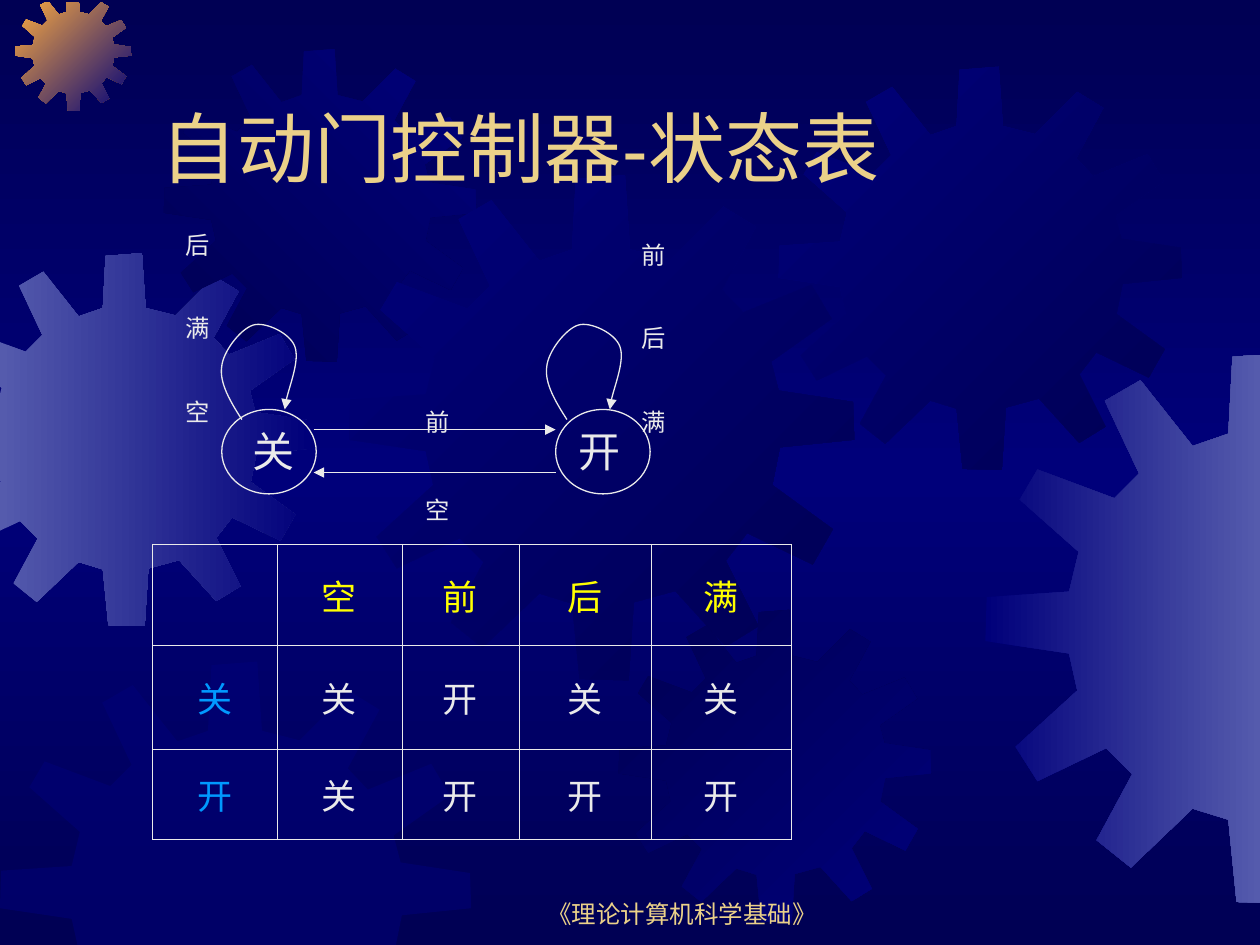
"""Build the slide with the state diagram and state table of an automatic door controller."""
from copy import deepcopy
from dataclasses import dataclass

from lxml.etree import SubElement
from pptx import Presentation
from pptx.dml.color import RGBColor
from pptx.enum.shapes import MSO_CONNECTOR, MSO_SHAPE
from pptx.enum.text import MSO_ANCHOR, MSO_AUTO_SIZE, PP_ALIGN
from pptx.oxml.ns import qn
from pptx.util import Inches, Pt

COLORS = {
    "navy": "000054", "blue": "00007A", "lilac": "555BAD", "orange": "FCAB40",
    "gold": "EBD189", "white": "EAEAEA", "yellow": "FFFF00", "sky": "0099FF",
}
SLIDE_LIMITS = ((0, 0, 1), (0, 10, -1), (1, 0.02, 1), (1, 7.5, -1))
GEAR_SIZE = 401
GEAR_OUTLINE = [
    (255, 67), (223, 59), (219, 0), (180, 3), (177, 59), (151, 68), (113, 20), (87, 35),
    (112, 88), (94, 106), (38, 85), (25, 107), (68, 145), (61, 174), (1, 178), (0, 210),
    (61, 219), (67, 246), (22, 287), (38, 312), (88, 288), (107, 307), (81, 355), (106, 375),
    (151, 332), (177, 340), (183, 400), (222, 401), (226, 339), (259, 330), (299, 374), (325, 358),
    (299, 306), (316, 284), (368, 309), (384, 281), (336, 246), (342, 216), (401, 210), (400, 180),
    (341, 171), (335, 148), (383, 114), (367, 87), (313, 109), (296, 91), (323, 41), (297, 25),
]
LOOP_CURVE = [
    (1.92, 3.33), (1.83, 3.19), (1.74, 3.04), (1.76, 2.91), (1.77, 2.79), (1.91, 2.61),
    (2.01, 2.58), (2.1, 2.55), (2.3, 2.64), (2.34, 2.75), (2.38, 2.86), (2.26, 3.16), (2.26, 3.25),
]


@dataclass
class Gear:
    left: float
    top: float
    size: float
    start: str
    end: str
    angle: int = 0
    opacity: int = 100


@dataclass
class State:
    left: float
    label_left: float
    name: str
    loop_shift: float


@dataclass
class Label:
    left: float
    top: float
    width: float
    height: float
    lines: str


GEARS = [
    Gear(-0.49, 2.01, 2.96, "lilac", "blue"),
    Gear(0.12, -0.04, 0.92, "orange", "blue", 45),
    Gear(1.3, 0.39, 2.48, "navy", "blue", 315),
    Gear(2.77, 1.39, 4.01, "blue", "navy", 45),
    Gear(0, 5.25, 3.74, "blue", "blue", 0, 50),
    Gear(4.91, 4.84, 2.48, "navy", "blue", 45),
    Gear(6.18, 0.53, 3.2, "blue", "navy", 45),
    Gear(7.82, 2.8, 4.37, "blue", "lilac"),
]
STATES = [State(1.76, 1.91, "关", 0), State(4.41, 4.49, "开", 2.58)]
LABELS = [
    Label(3.28, 2.96, 1.17, 0.56, "前"),
    Label(3.28, 3.66, 1.17, 0.56, "空"),
    Label(1.37, 1.55, 1.58, 2.55, "后满空"),
    Label(4.99, 1.63, 1.58, 1.88, "前后满"),
]
TABLE_ROWS = [["", "空", "前", "后", "满"], ["关", "关", "开", "关", "关"], ["开", "关", "开", "开", "开"]]
COLUMN_WIDTHS = [0.99, 0.99, 0.93, 1.05, 1.11]
ROW_HEIGHTS = [0.8, 0.83, 0.71]


def rgb(name: str) -> RGBColor:
    return RGBColor.from_string(COLORS[name])


def set_gradient(fill, start: str, end: str, angle: int) -> None:
    fill.gradient()
    fill.gradient_angle = (360 - angle) % 360
    for stop, name in zip(fill.gradient_stops, (start, end)):
        stop.color.rgb = rgb(name)


def paint_background(slide) -> None:
    set_gradient(slide.background.fill, "navy", "blue", 90)
    stops = slide.element.find(".//" + qn("a:gsLst"))
    stops.append(deepcopy(stops[0]))
    for stop, position in zip(stops, (0, 50000, 100000)):
        stop.set("pos", str(position))


def clip(points: list, axis: int, limit: float, sign: int) -> list:
    kept = []
    for previous, point in zip([points[-1]] + points[:-1], points):
        before, after = (sign * (p[axis] - limit) for p in (previous, point))
        if before * after < 0:
            ratio = before / (before - after)
            kept.append(tuple(a + ratio * (b - a) for a, b in zip(previous, point)))
        if after >= 0:
            kept.append(point)
    return kept


def add_outline(slide, points: list, close: bool):
    corners = [(Inches(x), Inches(y)) for x, y in points]
    builder = slide.shapes.build_freeform(*corners[0])
    builder.add_line_segments(corners[1:], close=close)
    shape = builder.convert_to_shape()
    shape.shadow.inherit = False
    return shape


def add_gear(slide, gear: Gear) -> None:
    scale = gear.size / GEAR_SIZE
    points = [(gear.left + x * scale, gear.top + y * scale) for x, y in GEAR_OUTLINE]
    for limit in SLIDE_LIMITS:
        points = clip(points, *limit)
    shape = add_outline(slide, points, True)
    shape.line.fill.background()
    if gear.start == gear.end:
        shape.fill.solid()
        shape.fill.fore_color.rgb = rgb(gear.start)
        color = shape.element.spPr.find(qn("a:solidFill"))[0]
        SubElement(color, qn("a:alpha"), val=str(gear.opacity * 1000))
    else:
        set_gradient(shape.fill, gear.start, gear.end, gear.angle)


def style_line(shape, arrow: bool) -> None:
    shape.line.color.rgb = rgb("white")
    shape.line.width = Pt(0.75)
    if arrow:
        SubElement(shape.element.spPr.find(qn("a:ln")), qn("a:tailEnd"), type="triangle")


def add_loop(slide, shift: float) -> None:
    shape = add_outline(slide, [(x + shift, y) for x, y in LOOP_CURVE], False)
    shape.fill.background()
    style_line(shape, True)
    outline = shape.element.spPr.find(".//" + qn("a:path"))
    segments = outline.findall(qn("a:lnTo"))
    for first in range(0, len(segments), 3):
        curve = SubElement(outline, qn("a:cubicBezTo"))
        for segment in segments[first:first + 3]:
            curve.append(segment[0])
            outline.remove(segment)


def add_arrow(slide, start: float, end: float, height: float) -> None:
    connector = slide.shapes.add_connector(
        MSO_CONNECTOR.STRAIGHT, Inches(start), Inches(height), Inches(end), Inches(height))
    style_line(connector, True)
    SubElement(connector.element.spPr, qn("a:effectLst"))


def add_run(paragraph, text: str, size: int, font: str, color: str):
    run = paragraph.add_run()
    run.text = text
    run.font.size = Pt(size)
    run.font.name = font
    run.font.color.rgb = rgb(color)
    return run


def add_text_frame(slide, left: float, top: float, width: float, height: float):
    box = slide.shapes.add_textbox(Inches(left), Inches(top), Inches(width), Inches(height))
    box.text_frame.word_wrap = True
    return box.text_frame


def add_label(slide, label: Label, subscript: bool = True) -> None:
    frame = add_text_frame(slide, label.left, label.top, label.width, label.height)
    frame.auto_size = MSO_AUTO_SIZE.SHAPE_TO_FIT_TEXT
    for index, text in enumerate(label.lines):
        paragraph = frame.add_paragraph() if index else frame.paragraphs[0]
        if index:
            paragraph.space_before = Pt(15)
        run = add_run(paragraph, text, 24, "Arial Narrow", "white")
        if subscript:
            run.font._element.set("baseline", "-25000")


def add_state(slide, state: State) -> None:
    circle = slide.shapes.add_shape(
        MSO_SHAPE.OVAL, Inches(state.left), Inches(3.25), Inches(0.75), Inches(0.67))
    circle.shadow.inherit = False
    circle.fill.background()
    style_line(circle, False)
    add_label(slide, Label(state.label_left, 3.33, 0.5, 0.5, state.name), False)
    add_loop(slide, state.loop_shift)


def format_cell(cell, text: str, color: str) -> None:
    properties = cell._tc.get_or_add_tcPr()
    for side in ("lnL", "lnR", "lnT", "lnB"):
        border = SubElement(properties, qn("a:" + side), w=str(Pt(0.45)))
        SubElement(SubElement(border, qn("a:solidFill")), qn("a:srgbClr"), val=COLORS["white"])
    cell.fill.background()
    cell.vertical_anchor = MSO_ANCHOR.MIDDLE
    if text:
        paragraph = cell.text_frame.paragraphs[0]
        paragraph.alignment = PP_ALIGN.CENTER
        add_run(paragraph, text, 20, "Arial", color)


def add_state_table(slide) -> None:
    table = slide.shapes.add_table(
        len(ROW_HEIGHTS), len(COLUMN_WIDTHS), Inches(1.21), Inches(4.32),
        Inches(sum(COLUMN_WIDTHS)), Inches(sum(ROW_HEIGHTS))).table
    table.first_row = table.horz_banding = False
    for column, width in zip(table.columns, COLUMN_WIDTHS):
        column.width = Inches(width)
    for row_index, (row, height) in enumerate(zip(table.rows, ROW_HEIGHTS)):
        row.height = Inches(height)
        for column_index, cell in enumerate(row.cells):
            color = "yellow" if row_index == 0 else "white" if column_index else "sky"
            format_cell(cell, TABLE_ROWS[row_index][column_index], color)


def add_title(slide) -> None:
    title = slide.shapes.title
    title.left, title.top, title.width, title.height = map(Inches, (1.17, 0.33, 8.5, 1.25))
    title.text_frame.vertical_anchor = MSO_ANCHOR.BOTTOM
    paragraph = title.text_frame.paragraphs[0]
    paragraph.alignment = PP_ALIGN.LEFT
    add_run(paragraph, "自动门控制器-状态表", 44, "Arial", "gold")
    title.element.getparent().append(title.element)


def add_footer(slide) -> None:
    frame = add_text_frame(slide, 3.83, 6.92, 3.17, 0.5)
    frame.vertical_anchor = MSO_ANCHOR.BOTTOM
    frame.paragraphs[0].alignment = PP_ALIGN.CENTER
    add_run(frame.paragraphs[0], "《理论计算机科学基础》", 14, "Arial", "gold")


def main() -> None:
    presentation = Presentation()
    presentation.slide_width, presentation.slide_height = Inches(10), Inches(7.5)
    slide = presentation.slides.add_slide(presentation.slide_layouts[5])
    paint_background(slide)
    for gear in GEARS:
        add_gear(slide, gear)
    add_footer(slide)
    add_title(slide)
    add_state_table(slide)
    for state in STATES:
        add_state(slide, state)
    add_arrow(slide, 2.49, 4.41, 3.41)
    add_arrow(slide, 4.41, 2.49, 3.75)
    for label in LABELS:
        add_label(slide, label)
    presentation.save("out.pptx")


if __name__ == "__main__":
    main()
